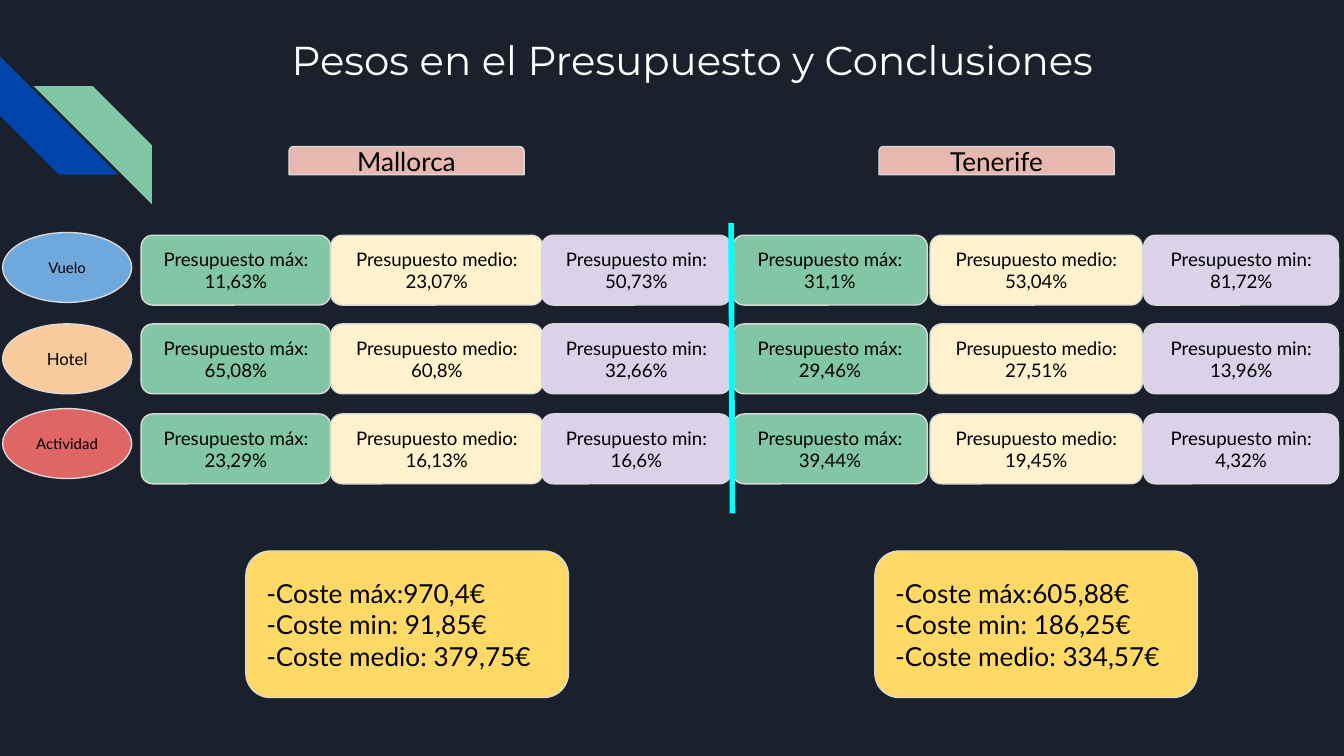
from dataclasses import dataclass

from lxml import etree
from pptx import Presentation
from pptx.dml.color import RGBColor
from pptx.enum.shapes import MSO_CONNECTOR, MSO_SHAPE
from pptx.enum.text import MSO_ANCHOR, MSO_AUTO_SIZE, PP_ALIGN
from pptx.oxml.ns import qn
from pptx.util import Inches, Pt

ROUNDED = MSO_SHAPE.ROUNDED_RECTANGLE
TAB = MSO_SHAPE.ROUND_2_SAME_RECTANGLE
ELLIPSE = MSO_SHAPE.OVAL
STRIPE = MSO_SHAPE.DIAGONAL_STRIPE
STRAIGHT = MSO_CONNECTOR.STRAIGHT
LEFT, CENTER = PP_ALIGN.LEFT, PP_ALIGN.CENTER
TOP, MIDDLE = MSO_ANCHOR.TOP, MSO_ANCHOR.MIDDLE
TITLE_ONLY = 5


@dataclass(frozen=True)
class Theme:
    """Colours, fonts and type sizes of the slide."""

    background: str = "1B212C"
    white: str = "FFFFFF"
    black: str = "000000"
    outline: str = "D9D9D9"
    blue: str = "0145AC"
    green: str = "82C7A5"
    cream: str = "FFF2CC"
    lilac: str = "D9D2E9"
    pink: str = "E6B8AF"
    yellow: str = "FFD966"
    sky: str = "6FA8DC"
    orange: str = "F9CB9C"
    red: str = "E06666"
    cyan: str = "00FFFF"
    title_font: str = "Montserrat"
    body_font: str = "Lato"
    title_size: float = 21.6
    large: float = 14
    body: float = 10
    label: float = 9
    small: float = 8


THEME = Theme()

BUDGETS = (
    ("Presupuesto máx", THEME.green),
    ("Presupuesto medio", THEME.cream),
    ("Presupuesto min", THEME.lilac),
)
ROW_TOPS = (1.75, 2.41, 3.08)
CELL_HEIGHT = 0.52

CATEGORIES = (
    ("Vuelo", 1.73, THEME.sky, THEME.small),
    ("Hotel", 2.41, THEME.orange, THEME.label),
    ("Actividad", 3.04, THEME.red, THEME.small),
)

MALLORCA = {
    "name": "Mallorca",
    "name_left": 2.15,
    "columns": ((1.05, 1.41), (2.46, 1.58), (4.03, 1.41)),
    "weights": (
        ("11,63%", "23,07%", "50,73%"),
        ("65,08%", "60,8%", "32,66%"),
        ("23,29%", "16,13%", "16,6%"),
    ),
    "costs_left": 1.83,
    "costs": ("-Coste máx:970,4€", "-Coste min: 91,85€", "-Coste medio: 379,75€"),
}
TENERIFE = {
    "name": "Tenerife",
    "name_left": 6.54,
    "columns": ((5.45, 1.45), (6.92, 1.58), (8.51, 1.45)),
    "weights": (
        ("31,1%", "53,04%", "81,72%"),
        ("29,46%", "27,51%", "13,96%"),
        ("39,44%", "19,45%", "4,32%"),
    ),
    "costs_left": 6.51,
    "costs": ("-Coste máx:605,88€", "-Coste min: 186,25€", "-Coste medio: 334,57€"),
}


def color(value):
    """Turn a hex string into a colour."""
    return RGBColor.from_string(value)


def write_text(shape, lines, font, size, ink, align, anchor):
    """Write one paragraph per line with a shared format."""
    frame = shape.text_frame
    frame.text = "\n".join(lines)
    frame.word_wrap = True
    frame.auto_size = MSO_AUTO_SIZE.NONE
    frame.vertical_anchor = anchor
    frame.margin_left = frame.margin_right = Inches(0.1)
    frame.margin_top = frame.margin_bottom = Inches(0.1)
    for paragraph in frame.paragraphs:
        paragraph.alignment = align
        paragraph.font.name = font
        paragraph.font.size = Pt(size)
        paragraph.font.color.rgb = color(ink)


def add_filled(slide, kind, bounds, fill):
    """Add a flat preset shape without an outline."""
    shape = slide.shapes.add_shape(kind, *map(Inches, bounds))
    shape.shadow.inherit = False
    shape.fill.solid()
    shape.fill.fore_color.rgb = color(fill)
    shape.line.fill.background()
    return shape


def add_box(slide, kind, bounds, fill, lines, size, align=CENTER):
    """Add an outlined shape holding text."""
    box = add_filled(slide, kind, bounds, fill)
    box.line.color.rgb = color(THEME.outline)
    box.line.width = Pt(0.75)
    write_text(box, lines, THEME.body_font, size, THEME.black, align, MIDDLE)


def add_title(slide, text):
    """Place and format the title placeholder."""
    title = slide.shapes.title
    title.left, title.top = Inches(2.07), Inches(0.16)
    title.width, title.height = Inches(6.22), Inches(1)
    write_text(title, [text], THEME.title_font, THEME.title_size, THEME.white, LEFT, TOP)


def add_stripes(slide):
    """Add the two diagonal stripes of the corner ornament."""
    blue = add_filled(slide, STRIPE, (0, 0.42, 0.88, 0.88), THEME.blue)
    blue.rotation = 270
    green = add_filled(slide, STRIPE, (0.25, 0.64, 0.88, 0.88), THEME.green)
    green.element.spPr.find(qn("a:xfrm")).set("flipH", "1")


def add_island(slide, island):
    """Add an island's heading, grid of budget weights and costs."""
    heading = (island["name_left"], 1.09, 1.75, 0.21)
    add_box(slide, TAB, heading, THEME.pink, [island["name"]], THEME.large)
    for top, weights in zip(ROW_TOPS, island["weights"]):
        for (left, width), (budget, fill), weight in zip(island["columns"], BUDGETS, weights):
            bounds = (left, top, width, CELL_HEIGHT)
            add_box(slide, ROUNDED, bounds, fill, [f"{budget}: {weight}"], THEME.body)
    summary = (island["costs_left"], 4.1, 2.4, 1.09)
    add_box(slide, ROUNDED, summary, THEME.yellow, island["costs"], THEME.large, LEFT)


def add_divider(slide):
    """Add the line that separates the two islands."""
    ends = map(Inches, (5.44, 1.66, 5.45, 3.82))
    divider = slide.shapes.add_connector(STRAIGHT, *ends)
    divider.line.color.rgb = color(THEME.cyan)
    divider.line.width = Pt(3)
    etree.SubElement(divider.element.spPr, qn("a:effectLst"))


def main():
    """Build the slide and save the deck."""
    deck = Presentation()
    deck.slide_width, deck.slide_height = Inches(10), Inches(10 * 9 / 16)
    slide = deck.slides.add_slide(deck.slide_layouts[TITLE_ONLY])
    slide.background.fill.solid()
    slide.background.fill.fore_color.rgb = color(THEME.background)
    add_stripes(slide)
    add_title(slide, "Pesos en el Presupuesto y Conclusiones")
    for island in (MALLORCA, TENERIFE):
        add_island(slide, island)
    for name, top, fill, size in CATEGORIES:
        add_box(slide, ELLIPSE, (0.02, top, 0.96, CELL_HEIGHT), fill, [name], size)
    add_divider(slide)
    deck.save("out.pptx")


if __name__ == "__main__":
    main()
